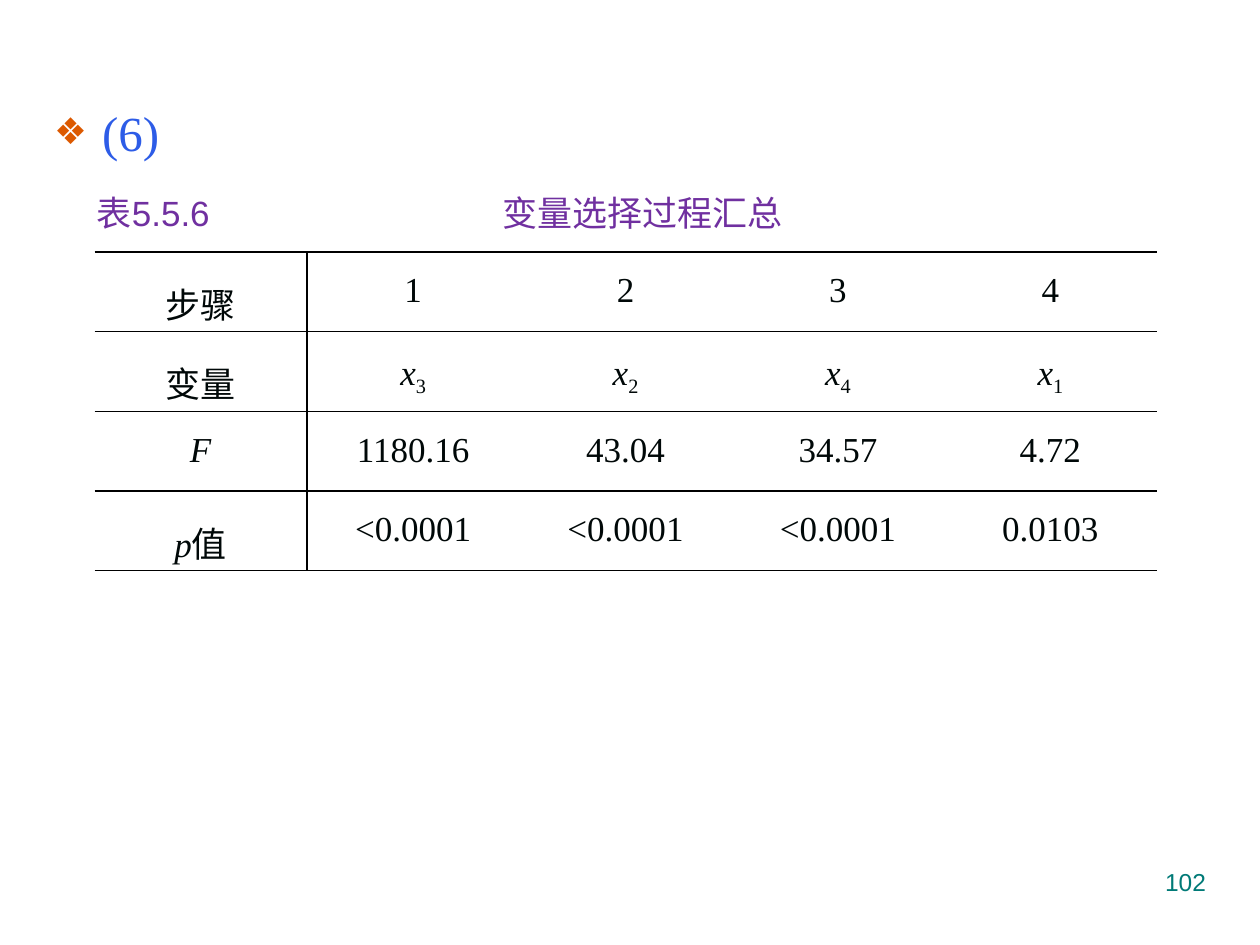
from lxml import etree
from pptx import Presentation
from pptx.dml.color import RGBColor
from pptx.enum import text
from pptx.oxml import ns
from pptx.util import Inches, Pt

COLORS = {"heading": "2D5CE7", "bullet": "DC5900", "caption": "7030A0",
          "number": "007A77", "cell": "000808", "border": "000000"}
SERIF, SANS, CJK = "Times New Roman", "Arial", "Noto Sans CJK SC"

# Each cell is a list of runs: (text, style)
STEPS = ["1", "2", "3", "4"]
VARIABLES = ["3", "2", "4", "1"]
F_VALUES = ["1180.16", "43.04", "34.57", "4.72"]
P_VALUES = ["<0.0001", "<0.0001", "<0.0001", "0.0103"]


def plain(values):
    return [[(v, "plain")] for v in values]


ROWS = [
    [[("步骤", "cjk")]] + plain(STEPS),
    [[("变量", "cjk")]] + [[("x", "italic"), (v, "sub")] for v in VARIABLES],
    [[("F", "italic")]] + plain(F_VALUES),
    [[("p", "italic"), ("值", "cjk")]] + plain(P_VALUES),
]


def add_xml(parent, tag, **attrs):
    return etree.SubElement(parent, ns.qn(tag), attrs)


def add_run(p, words, color, **fmt):
    r = p.add_run()
    r.text = words
    for name, value in fmt.items():
        setattr(r.font, name, value)
    r.font.color.rgb = RGBColor.from_string(COLORS[color])
    add_xml(r._r.get_or_add_rPr(), "a:ea", typeface=CJK)
    return r


def add_textbox(s, box, words, color, align, **fmt):
    sp = s.shapes.add_textbox(*map(Inches, box))
    tf = sp.text_frame
    tf.word_wrap = True
    p = tf.paragraphs[0]
    p.alignment = align
    add_run(p, words, color, name=SANS, **fmt)
    return p


def add_heading(s, words):
    sp = s.placeholders[1]
    sp.left, sp.top, sp.width, sp.height = map(Inches, (0.33, 0.76, 9.34, 5.91))
    p = sp.text_frame.paragraphs[0]
    add_run(p, words, "heading", name=SERIF, size=Pt(28))
    p.space_before = Pt(5.6)
    pPr = p._p.get_or_add_pPr()
    pPr.set("marL", str(Inches(0.38)))
    pPr.set("indent", str(-Inches(0.38)))
    add_xml(add_xml(pPr, "a:buClr"), "a:srgbClr", val=COLORS["bullet"])
    add_xml(pPr, "a:buSzPct", val="75000")
    add_xml(pPr, "a:buChar", char="❖")


def set_borders(cell, visible):
    tcPr = cell._tc.get_or_add_tcPr()
    for side in "LRTB":
        ln = add_xml(tcPr, f"a:ln{side}", w=str(Pt(1)))
        if side in visible:
            add_xml(add_xml(ln, "a:solidFill"), "a:srgbClr", val=COLORS["border"])
        else:
            add_xml(ln, "a:noFill")


def fill_cell(cell, runs, borders):
    styles = {"plain": {"name": SERIF}, "sub": {"name": SERIF},
              "italic": {"name": SERIF, "italic": True}, "cjk": {"name": CJK}}
    margins = {"margin_left": 0.07, "margin_right": 0.07,
               "margin_top": 0, "margin_bottom": 0}
    for name, value in margins.items():
        setattr(cell, name, Inches(value))
    p = cell.text_frame.paragraphs[0]
    p.alignment = text.PP_ALIGN.CENTER
    p.line_spacing = 1.5
    for words, style in runs:
        r = add_run(p, words, "cell", size=Pt(20), **styles[style])
        if style == "sub":
            r._r.get_or_add_rPr().set("baseline", "-25000")
    set_borders(cell, borders)
    cell.fill.background()


def add_summary_table(s):
    box = map(Inches, (0.75, 2, 8.43, 2.53))
    table = s.shapes.add_table(len(ROWS), len(ROWS[0]), *box).table
    table.first_row = table.horz_banding = False
    for i, row in enumerate(ROWS):
        for j, runs in enumerate(row):
            # Rules between all rows, one upright rule after the row labels
            borders = "TB" + {0: "R", 1: "L"}.get(j, "")
            fill_cell(table.cell(i, j), runs, borders)


def main():
    prs = Presentation()
    prs.slide_width, prs.slide_height = Inches(10), Inches(7.5)
    s = prs.slides.add_slide(prs.slide_layouts[1])
    title = s.shapes.title._element
    title.getparent().remove(title)

    add_heading(s, "(6)")

    # Page number
    add_textbox(s, (7.17, 6.83, 2.5, 0.52), "102", "number",
                text.PP_ALIGN.RIGHT, size=Pt(14))

    # Table caption, with a tab stop between number and name
    p = add_textbox(s, (0.67, 1.47, 5.73, 0.44), "表5.5.6\t变量选择过程汇总",
                    "caption", text.PP_ALIGN.LEFT, size=Pt(20))
    tabs = add_xml(p._p.get_or_add_pPr(), "a:tabLst")
    add_xml(tabs, "a:tab", pos=str(Inches(3.22)), algn="l")

    add_summary_table(s)
    prs.save("out.pptx")


if __name__ == "__main__":
    main()
